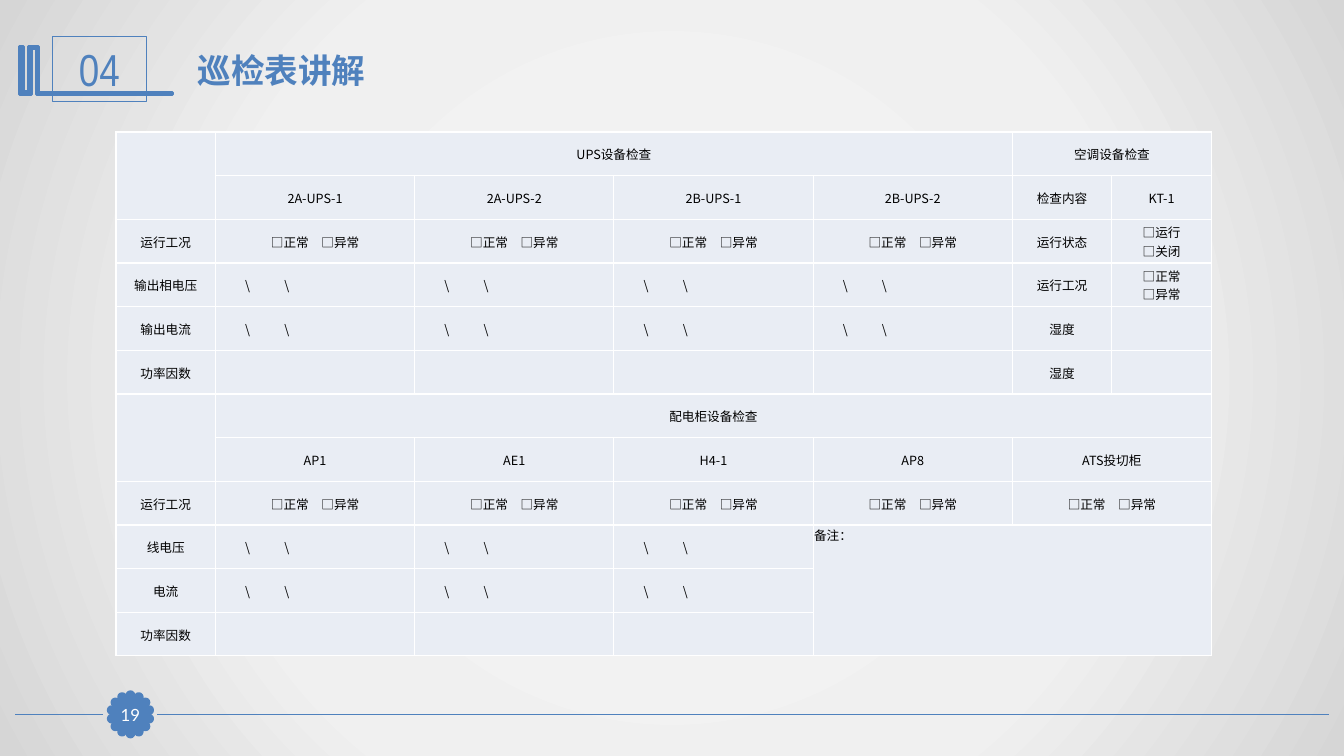
import math
from lxml import etree
from pptx import Presentation
from pptx import util as u
from pptx.dml.color import RGBColor
from pptx.enum import shapes, text
from pptx.oxml import ns

BLUE, WHITE, BLACK, PALE = "4F81BD", "FFFFFF", "000000", "E9EDF4"
HAN = "Noto Sans CJK SC"
MID = text.MSO_ANCHOR.MIDDLE
LEFT, MIDST = text.PP_ALIGN.LEFT, text.PP_ALIGN.CENTER


def tone(code):
    return RGBColor.from_string(code)


def node(top, tag, **attrs):
    return etree.SubElement(top, ns.qn(tag), **attrs)


def put(frame, words, size=9, font=HAN, hue=BLACK, bold=False, align=MIDST,
        anchor=MID, inset=None, tabs=()):
    frame.word_wrap = True
    frame.vertical_anchor = anchor
    if inset is not None:
        frame.margin_left = frame.margin_right = u.Pt(inset)
        frame.margin_top = frame.margin_bottom = u.Pt(inset)
    par = frame.paragraphs[0]
    par.text = words
    par.alignment = align
    if tabs:
        stops = node(par._p.get_or_add_pPr(), "a:tabLst")
        for pos in tabs:
            node(stops, "a:tab", pos=str(u.Pt(pos)), algn="l")
    for run in par.runs:
        run.font.size = u.Pt(size)
        run.font.bold = bold
        run.font.name = font
        run.font.color.rgb = tone(hue)
        node(run._r.get_or_add_rPr(), "a:ea", typeface=HAN)


class Page:
    def __init__(self, deck, hue):
        self.slide = deck.slides.add_slide(deck.slide_layouts[5])
        self.items = self.slide.shapes
        self.hue = hue

    def back(self, stops):
        self.slide.background.fill.gradient()
        grad = self.slide._element.find(".//" + ns.qn("a:gradFill"))
        grad.clear()
        grad.set("rotWithShape", "1")
        stop_list = node(grad, "a:gsLst")
        for pos, code in stops:
            stop = node(stop_list, "a:gs", pos=str(pos * 1000))
            node(stop, "a:srgbClr", val=code)
        ring = node(grad, "a:path", path="circle")
        node(ring, "a:fillToRect", l="50000", t="50000", r="50000", b="50000")

    def title(self, words, x, y, w, h, **form):
        head = self.items.title
        head.left, head.top, head.width, head.height = map(u.Pt, (x, y, w, h))
        put(head.text_frame, words, hue=self.hue, **form)

    def line(self, x1, x2, y, width):
        rule = self.items.add_connector(
            shapes.MSO_CONNECTOR.STRAIGHT, u.Pt(x1), u.Pt(y), u.Pt(x2), u.Pt(y))
        rule.line.color.rgb = tone(self.hue)
        rule.line.width = u.Pt(width)
        node(rule._element.spPr, "a:effectLst")

    def dress(self, shape, width, solid):
        shape.shadow.inherit = False
        shape.line.color.rgb = tone(self.hue)
        shape.line.width = u.Pt(width)
        if solid:
            shape.fill.solid()
            shape.fill.fore_color.rgb = tone(self.hue)
        else:
            shape.fill.background()

    def shape(self, kind, x, y, w, h, width=0.75, solid=True):
        item = self.items.add_shape(kind, *map(u.Pt, (x, y, w, h)))
        self.dress(item, width, solid)
        return item

    def form(self, points, unit, width):
        pen = self.items.build_freeform(*points[0], scale=u.Pt(unit))
        pen.add_line_segments(points[1:], close=True)
        self.dress(pen.convert_to_shape(), width, True)

    def badge(self, words, x, y, radius, count, dot):
        for k in range(count):
            turn = math.tau * k / count
            self.shape(shapes.MSO_SHAPE.OVAL,
                       x + radius * math.sin(turn) - dot / 2,
                       y - radius * math.cos(turn) - dot / 2, dot, dot, 2)
        side = 22.6
        core = self.shape(shapes.MSO_SHAPE.RECTANGLE,
                          x - side / 2, y - side / 2, side, side)
        put(core.text_frame, words, size=12, font="Lato", hue=WHITE, inset=0)

    def table(self, rows, spans, x, y, widths, high):
        grid = self.items.add_table(
            len(rows), len(widths), u.Pt(x), u.Pt(y),
            u.Pt(sum(widths)), u.Pt(high * len(rows))).table
        grid.first_row = grid.horz_banding = False
        for col, wide in zip(grid.columns, widths):
            col.width = u.Pt(wide)
        for r, row in enumerate(rows):
            grid.rows[r].height = u.Pt(high)
            for c, words in enumerate(row):
                self.cell(grid.cell(r, c), words)
        for r, c, down, across in spans:
            grid.cell(r, c).merge(grid.cell(r + down - 1, c + across - 1))

    def cell(self, cell, words):
        props = cell._tc.get_or_add_tcPr()
        for side in ("a:lnL", "a:lnR", "a:lnT", "a:lnB"):
            edge = node(props, side, w=str(u.Pt(1)))
            node(node(edge, "a:solidFill"), "a:srgbClr", val=WHITE)
        cell.fill.solid()
        cell.fill.fore_color.rgb = tone(PALE)
        cell.margin_left = cell.margin_right = cell.margin_top = u.Pt(0.72)
        cell.margin_bottom = 0
        note = words == NOTE
        cell.vertical_anchor = text.MSO_ANCHOR.TOP if note else MID
        if words:
            slash = words == SLASH
            put(cell.text_frame, words, align=LEFT if note or slash else MIDST,
                anchor=None, tabs=(20.5, 48.5) if slash else ())


CHECK = "□正常　□异常"
SLASH = "\t\\\t\\"
NOTE = "备注："
ROWS = [
    ["", "UPS设备检查", "", "", "", "空调设备检查", ""],
    ["", "2A-UPS-1", "2A-UPS-2", "2B-UPS-1", "2B-UPS-2", "检查内容", "KT-1"],
    ["运行工况", *[CHECK] * 4, "运行状态", "□运行\n□关闭"],
    ["输出相电压", *[SLASH] * 4, "运行工况", "□正常\n□异常"],
    ["输出电流", *[SLASH] * 4, "湿度", ""],
    ["功率因数", *[""] * 4, "湿度", ""],
    ["", "配电柜设备检查", *[""] * 5],
    ["", "AP1", "AE1", "H4-1", "AP8", "ATS投切柜", ""],
    ["运行工况", *[CHECK] * 5, ""],
    ["线电压", *[SLASH] * 3, NOTE, "", ""],
    ["电流", *[SLASH] * 3, *[""] * 3],
    ["功率因数", *[""] * 6],
]
SPANS = [(0, 0, 2, 1), (0, 1, 1, 4), (0, 5, 1, 2), (6, 0, 2, 1),
         (6, 1, 1, 6), (7, 5, 1, 2), (8, 5, 1, 2), (9, 4, 3, 3)]
BOOKS = [(37, 46), (38, 46), (38, 92), (171, 92), (171, 94), (36, 94),
         (36, 48), (31, 48), (31, 94), (19, 94), (19, 46), (23, 46),
         (23, 91), (28, 91), (28, 46)]


def main():
    deck = Presentation()
    deck.slide_width, deck.slide_height = u.Pt(960), u.Pt(540)
    page = Page(deck, BLUE)
    page.back([(0, "F5F7F6"), (60, "F0F0F0"), (100, "D6D6D6")])
    page.line(949, 112.3, 510.3, 1.25)
    page.line(73.4, 10.8, 510.3, 1.25)
    page.badge("19", 93.2, 510.3, 13.7, 14, 5)
    page.form(BOOKS, 0.72, 2)
    box = page.shape(shapes.MSO_SHAPE.RECTANGLE, 37.4, 26.2, 67.2, 46, solid=False)
    put(box.text_frame, "04", size=32, font="Arial Narrow", hue=BLUE)
    page.title("巡检表讲解", 133.9, 31.7, 697.7, 36,
               size=24, font="Lato", bold=True, align=LEFT)
    page.table(ROWS, SPANS, 82.8, 94.3,
               [71.1, *[142.3] * 4, 71.1, 71.1], 31.2)
    deck.save("out.pptx")


if __name__ == "__main__":
    main()
